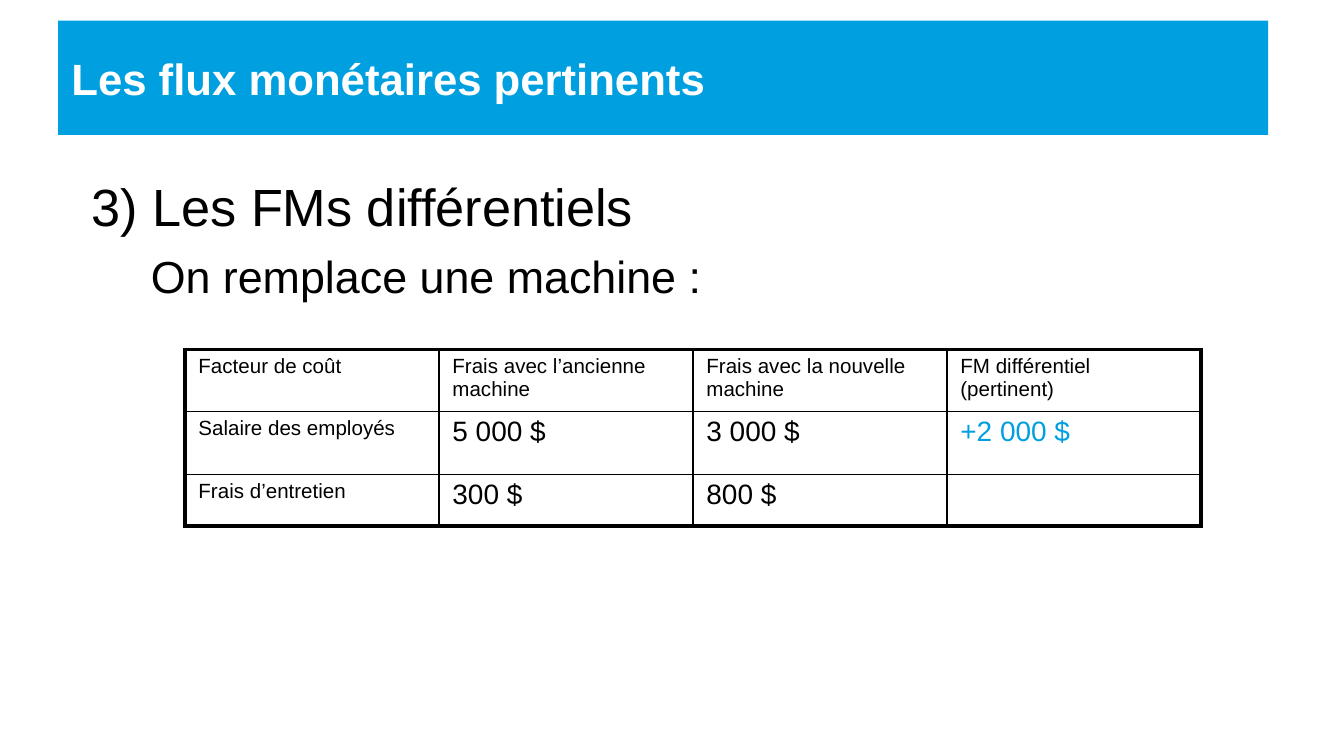
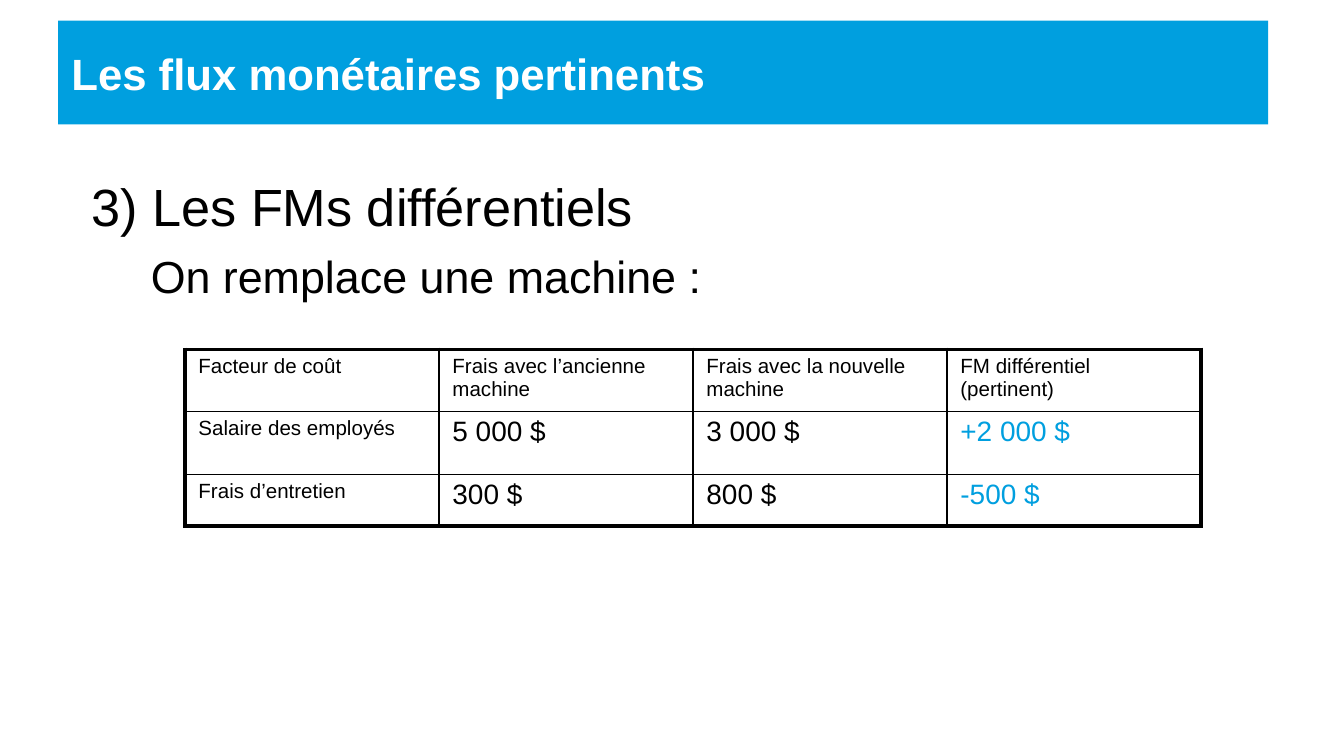
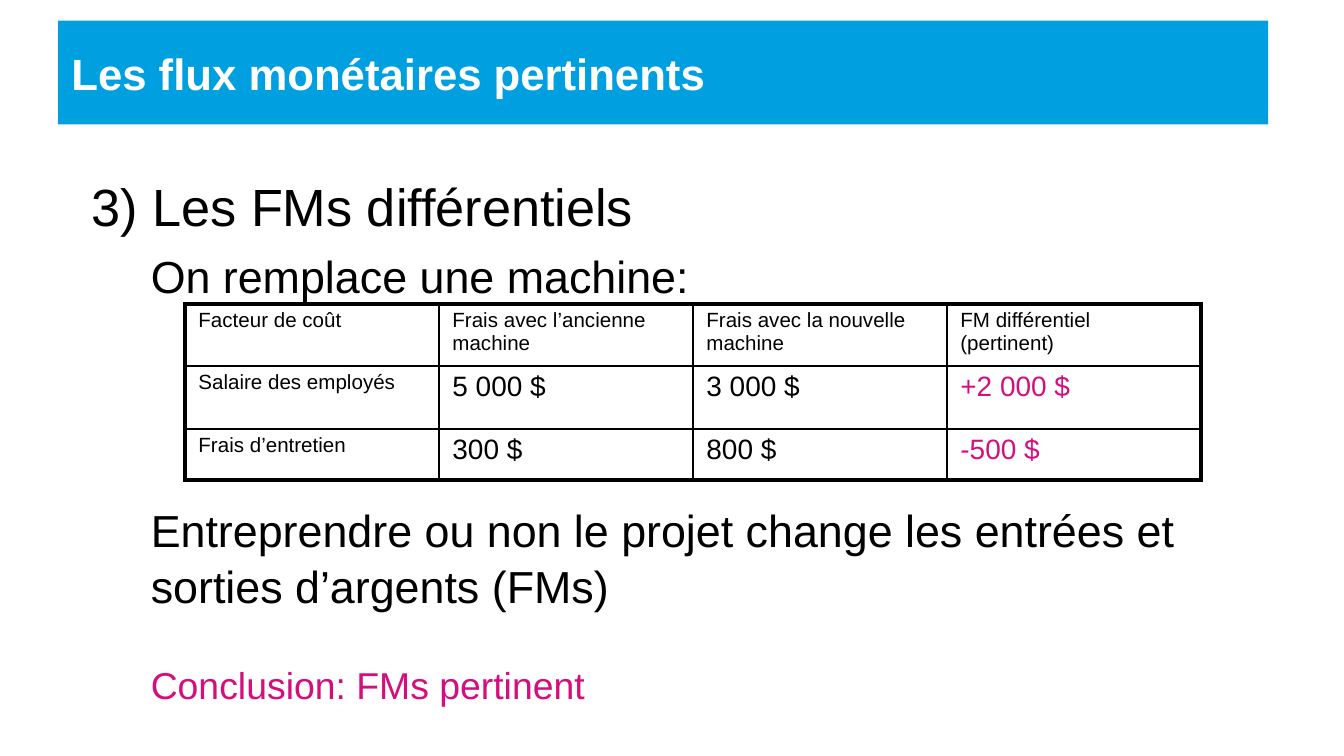
from lxml import etree
from pptx import Presentation
from pptx import util as u
from pptx.dml import color
from pptx.enum import shapes, text
from pptx.oxml import ns

BLUE, PINK, BLACK, WHITE = "009FDF", "D40F7D", "000000", "FFFFFF"
FONT = "Arial"
OUTER, INNER = 2.25, 1  # table rules, in points


def style(paragraph, size, ink, bold=False):
    paragraph.alignment = text.PP_ALIGN.LEFT
    font = paragraph.font
    font.name, font.size, font.bold = FONT, u.Pt(size), bold
    font.color.rgb = color.RGBColor.from_string(ink)


def add_border(cell, side, width):
    line = etree.SubElement(cell._tc.get_or_add_tcPr(), ns.qn("a:" + side),
                            w=str(u.Pt(width)))
    fill = etree.SubElement(line, ns.qn("a:solidFill"))
    etree.SubElement(fill, ns.qn("a:srgbClr"), val=BLACK)


# Shared content
title = "Les flux monétaires pertinents"
heading = "3) Les FMs différentiels"
costs = [
    ["Facteur de coût", "Frais avec l’ancienne machine",
     "Frais avec la nouvelle machine", "FM différentiel (pertinent)"],
    ["Salaire des employés", "5 000 $", "3 000 $"],
    ["Frais d’entretien", "300 $", "800 $"],
]
row_heights = [1.17, 1.19, 0.97]
column_width = 4.8

# What changes: band height, table top, differentials and their colour,
# then the lines under the heading (text, size, colour, space before)
machine = ("On remplace une machine :", 24, BLACK, 4.8)
pages = [
    (2.16, 6.6, ["+2 000 $", ""], BLUE, [machine]),
    (1.96, 6.6, ["+2 000 $", "-500 $"], BLUE, [machine]),
    (1.96, 5.74, ["+2 000 $", "-500 $"], PINK, [
        ("On remplace une machine:", 24, BLACK, 4.8),
        ("Entreprendre ou non le projet change les entrées et "
         "sorties d’argents (FMs)", 24, BLACK, 106),
        ("Conclusion: FMs pertinent", 20, PINK, 25),
    ]),
]

deck = Presentation()
deck.slide_width, deck.slide_height = u.Cm(25.4), u.Cm(14.28)

for band_height, table_top, differentials, accent, lines in pages:
    slide = deck.slides.add_slide(deck.slide_layouts[6])

    # Title band
    band = slide.shapes.add_shape(shapes.MSO_SHAPE.RECTANGLE, u.Cm(1.1), u.Cm(0.39),
                                  u.Cm(22.87), u.Cm(band_height))
    band.shadow.inherit = False
    band.fill.solid()
    band.fill.fore_color.rgb = color.RGBColor.from_string(BLUE)
    band.line.fill.background()
    band.text_frame.vertical_anchor = text.MSO_ANCHOR.MIDDLE
    band.text_frame.text = title
    style(band.text_frame.paragraphs[0], 23.4, WHITE, bold=True)

    # Heading and the lines under it
    body = slide.shapes.add_textbox(u.Cm(1.1), u.Cm(3.1), u.Cm(23.24), u.Cm(10.36)).text_frame
    body.word_wrap = True
    for i, (words, size, ink, gap) in enumerate([(heading, 28, BLACK, 0)] + lines):
        paragraph = body.add_paragraph() if i else body.paragraphs[0]
        paragraph.text = words
        paragraph.line_spacing = 1.05
        if i:
            paragraph.level = 1
            paragraph.space_before = u.Pt(gap)
        properties = paragraph._p.get_or_add_pPr()
        properties.set("marL", str(u.Cm(1.5 if i else 0.38)))
        properties.set("indent", "0")
        style(paragraph, size, ink)

    # Cost table
    rows = [costs[0]] + [row + [value] for row, value in zip(costs[1:], differentials)]
    last_row, last_column = len(rows) - 1, len(rows[0]) - 1
    table = slide.shapes.add_table(len(rows), len(rows[0]), u.Cm(3.5), u.Cm(table_top),
                                   u.Cm(column_width * len(rows[0])),
                                   u.Cm(sum(row_heights))).table
    table.first_row = table.horz_banding = False
    for column in table.columns:
        column.width = u.Cm(column_width)
    for r, row in enumerate(rows):
        table.rows[r].height = u.Cm(row_heights[r])
        for c, words in enumerate(row):
            cell = table.cell(r, c)
            cell.margin_left = cell.margin_right = u.Cm(0.25)
            cell.margin_top = cell.margin_bottom = u.Cm(0.1)
            cell.text = words
            label = r == 0 or c == 0
            style(cell.text_frame.paragraphs[0], 11 if label else 15,
                  accent if r and c == last_column else BLACK)
            for side, outside in (("lnL", c == 0), ("lnR", c == last_column),
                                  ("lnT", r == 0), ("lnB", r == last_row)):
                add_border(cell, side, OUTER if outside else INNER)
            cell.fill.background()

deck.save("out.pptx")
